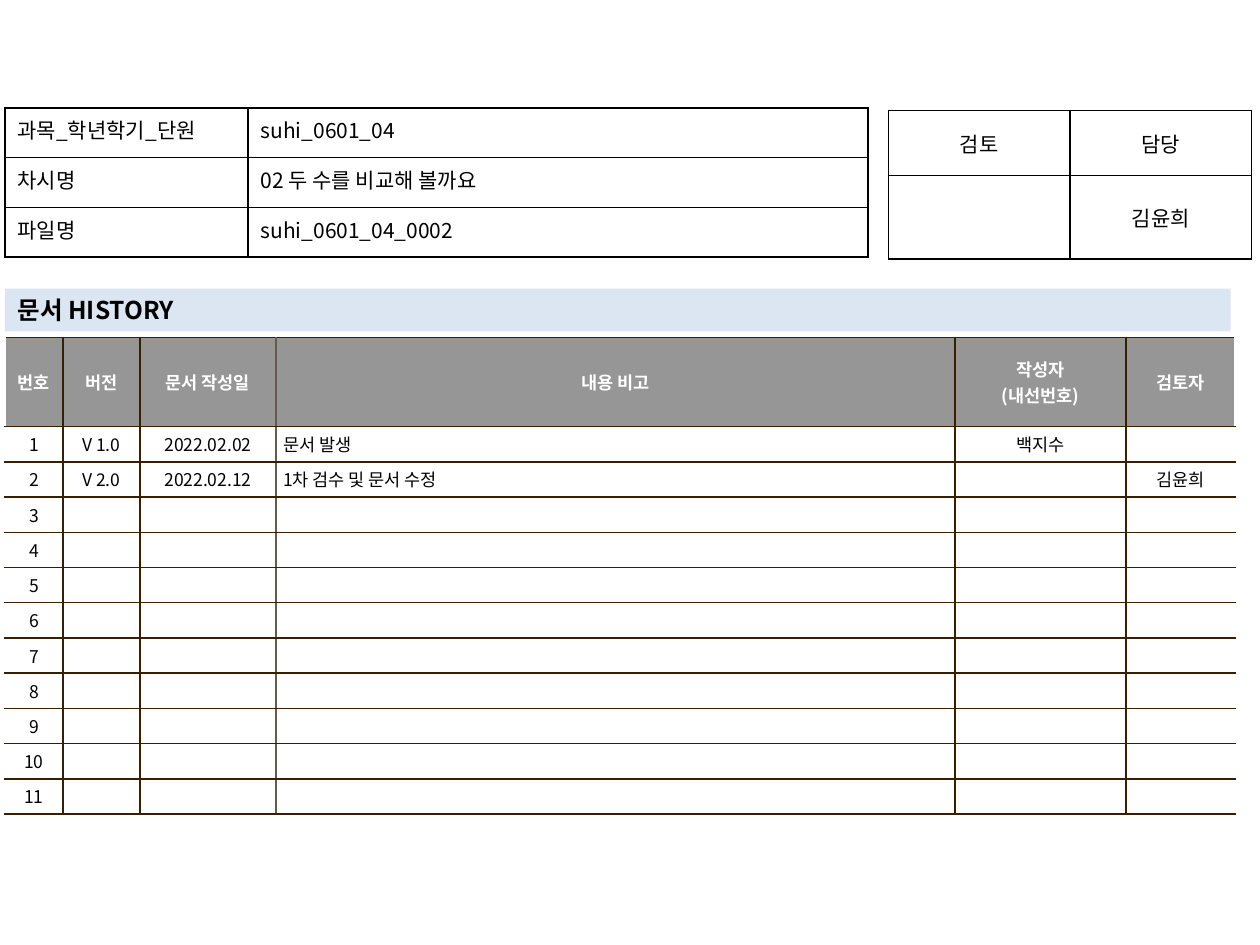
import pptx
import pptx.util
import pptx.dml.color
import pptx.enum.text
import pptx.oxml
import pptx.oxml.ns

Cm, Pt = pptx.util.Cm, pptx.util.Pt
ALIGN = pptx.enum.text.PP_ALIGN
ANCHOR = pptx.enum.text.MSO_ANCHOR
FONT = "Noto Sans CJK KR"
COLORS = {
    "text": "000000",
    "white": "FFFFFF",
    "head": "969696",
    "band": "DCE6F2",
    "brown": "362000",
    "taupe": "645B4C",
}


def rgb(name):
    return pptx.dml.color.RGBColor.from_string(COLORS[name])


def style(para, size, color="text", bold=False, align=ALIGN.LEFT):
    """Format one paragraph, for Latin and Korean text alike."""
    para.alignment = align
    font = para.font
    font.size, font.bold, font.name = Pt(size), bold, FONT
    font.color.rgb = rgb(color)
    latin = font._element.find(pptx.oxml.ns.qn("a:latin"))
    latin.addnext(pptx.oxml.parse_xml(
        f'<a:ea {pptx.oxml.ns.nsdecls("a")} typeface="{FONT}"/>'))
    if not para.text:  # keeps the rows of empty cells low
        para._p.get_or_add_endParaRPr().set("sz", str(size * 100))


def border(cell, sides):
    """Draw 1 pt lines; sides maps L, R, T, B to colour names."""
    props = cell._tc.get_or_add_tcPr()
    for side in "LRTB":
        if side in sides:
            props.append(pptx.oxml.parse_xml(
                f'<a:ln{side} {pptx.oxml.ns.nsdecls("a")} w="12700">'
                f'<a:solidFill><a:srgbClr val="{COLORS[sides[side]]}"/>'
                f'</a:solidFill></a:ln{side}>'))


def fill(cell, text, sides, size, back="white", anchor=ANCHOR.MIDDLE, **look):
    border(cell, sides)
    cell.fill.solid()
    cell.fill.fore_color.rgb = rgb(back)
    cell.vertical_anchor = anchor
    cell.text = text
    for para in cell.text_frame.paragraphs:
        style(para, size, **look)


def grid(slide, left, top, cols, rows):
    """Add a plain table with sizes in centimetres."""
    frame = slide.shapes.add_table(
        len(rows), len(cols), Cm(left), Cm(top), Cm(sum(cols)), Cm(sum(rows)))
    table = frame.table
    table.first_row = table.horz_banding = False
    for col, width in zip(table.columns, cols):
        col.width = Cm(width)
    for row, height in zip(table.rows, rows):
        row.height = Cm(height)
    return table


def history(slide):
    data = [
        ["번호", "버전", "문서 작성일", "내용 비고", "작성자\n(내선번호)", "검토자"],
        ["1", "V 1.0", "2022.02.02", "문서 발생", "백지수", ""],
        ["2", "V 2.0", "2022.02.12", "1차 검수 및 문서 수정", "", "김윤희"],
    ]
    data += [[str(num)] + [""] * 5 for num in range(3, 12)]
    table = grid(slide, 0.1, 6.8, [1.17, 1.55, 2.74, 13.69, 3.45, 2.2],
                 [1.8] + [0.71] * 11)
    note, last = 3, 5
    for r, row in enumerate(data):
        for c, text in enumerate(row):
            # The outer left and right edges stay open
            sides = dict.fromkeys("TB", "brown")
            if c > 0:
                sides["L"] = "taupe" if c == note else "brown"
            if c < last:
                sides["R"] = "taupe" if c == note - 1 else "brown"
            cell = table.cell(r, c)
            cell.margin_left = cell.margin_right = Cm(0.15)
            cell.margin_top = cell.margin_bottom = Cm(0.1)
            if r == 0:
                fill(cell, text, sides, 10, "head", color="white",
                     bold=True, align=ALIGN.CENTER)
            else:
                align = ALIGN.LEFT if c == note else ALIGN.CENTER
                fill(cell, text, sides, 10, align=align)


def boxed(slide, left, top, cols, rows, data, aligns, anchor):
    """Add a fully ruled black table."""
    table = grid(slide, left, top, cols, rows)
    sides = dict.fromkeys("LRTB", "text")
    for r, row in enumerate(data):
        for c, text in enumerate(row):
            fill(table.cell(r, c), text, sides, 12, anchor=anchor,
                 align=aligns[c])


def heading(slide, text):
    title = slide.shapes.title
    title.left, title.top = Cm(0.1), Cm(5.82)
    title.width, title.height = Cm(24.71), Cm(0.86)
    title.fill.solid()
    title.fill.fore_color.rgb = rgb("band")
    frame = title.text_frame
    frame.text = text
    frame.auto_size = pptx.enum.text.MSO_AUTO_SIZE.NONE
    frame.vertical_anchor = ANCHOR.MIDDLE
    style(frame.paragraphs[0], 14, bold=True)


def main():
    deck = pptx.Presentation()
    deck.slide_width, deck.slide_height = Cm(25.4), Cm(19.05)
    slide = deck.slides.add_slide(deck.slide_layouts[5])

    # Change history
    heading(slide, "문서 HISTORY")
    history(slide)

    # Sign-off box
    boxed(slide, 17.91, 2.23, [3.66] * 2, [1.31, 1.68],
          [["검토", "담당"], ["", "김윤희"]],
          [ALIGN.CENTER] * 2, ANCHOR.MIDDLE)

    # Document details
    boxed(slide, 0.1, 2.18, [4.9, 12.5], [1] * 3,
          [["과목_학년학기_단원", "suhi_0601_04"],
           ["차시명", "02 두 수를 비교해 볼까요"],
           ["파일명", "suhi_0601_04_0002"]],
          [ALIGN.JUSTIFY, ALIGN.LEFT], ANCHOR.TOP)

    deck.save("out.pptx")


if __name__ == "__main__":
    main()
